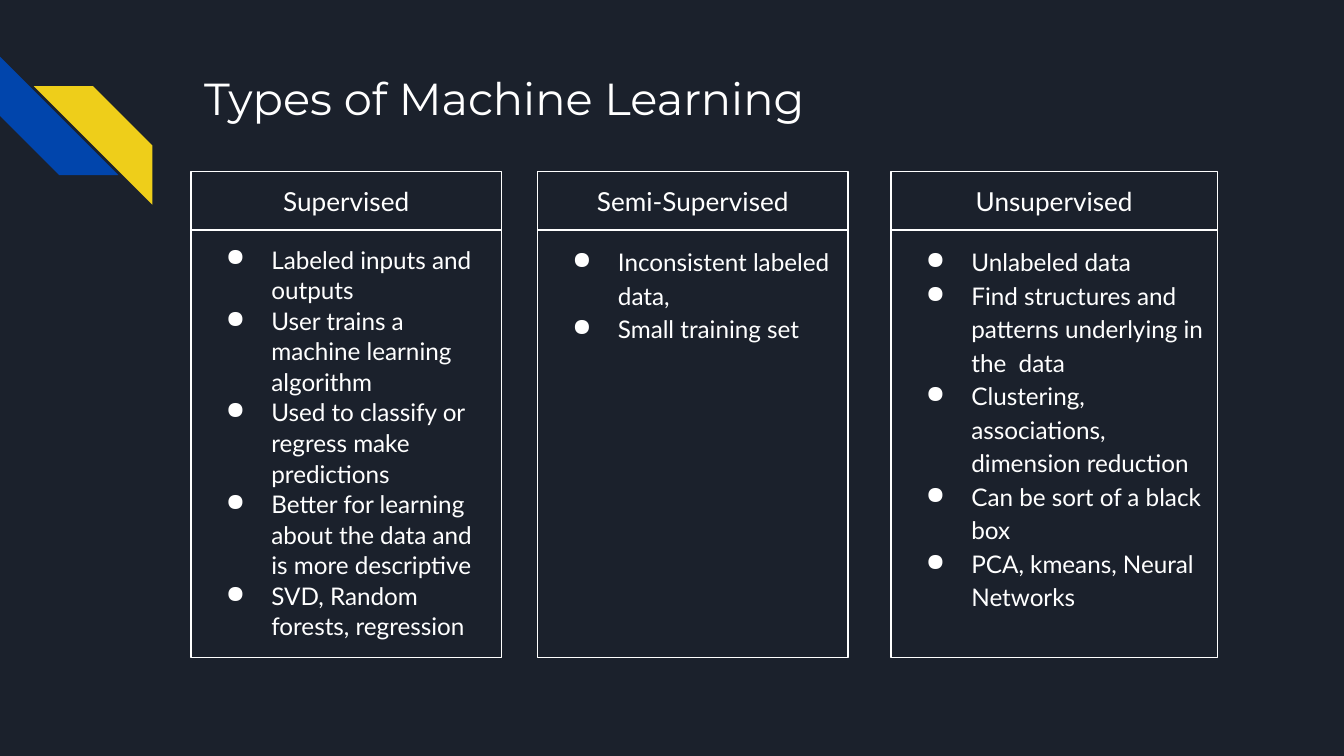
"""Build the Types of Machine Learning slide with three bordered columns."""
import pptx
import pptx.dml.color
import pptx.enum.shapes
import pptx.enum.text
import pptx.oxml.ns
import pptx.util
import lxml.etree

Cm = pptx.util.Cm
Pt = pptx.util.Pt
SHAPE = pptx.enum.shapes.MSO_SHAPE
ANCHOR = pptx.enum.text.MSO_ANCHOR
ALIGN = pptx.enum.text.PP_ALIGN
qn = pptx.oxml.ns.qn

COLORS = {"navy": "1B212C", "blue": "0145AC", "yellow": "EECE1A", "white": "FFFFFF"}
RGB = {k: pptx.dml.color.RGBColor.from_string(v) for k, v in COLORS.items()}

FRAME = {"word_wrap": True, "margin_left": Cm(0.25), "margin_right": Cm(0.25),
         "margin_top": Cm(0.25), "margin_bottom": Cm(0.25)}
TITLE = {"name": "Montserrat", "size": Pt(24)}
HEADER = {"name": "Lato", "size": Pt(14)}
BODY = {"name": "Lato", "size": Pt(13)}

STRIPES = [(0, 1.07, 270, "blue"), (0.64, 1.63, 90, "yellow")]
COLUMNS = [
    ("Supervised", 3.61, 5.87, 1.05, [
        "Labeled inputs and outputs",
        "User trains a machine learning algorithm",
        "Used to classify or regress make predictions",
        "Better for learning about the data and is more descriptive",
        "SVD, Random forests, regression"]),
    ("Semi-Supervised", 10.16, 5.87, 1.15, [
        "Inconsistent labeled data,",
        "Small training set"]),
    ("Unsupervised", 16.84, 6.17, 1.15, [
        "Unlabeled data",
        "Find structures and patterns underlying in the  data",
        "Clustering, associations, dimension reduction",
        "Can be sort of a black box",
        "PCA, kmeans, Neural Networks"]),
]


def write(sp, lines, font, anchor, align, spacing=1.0, bullet=False):
    tf = sp.text_frame
    for k, v in dict(FRAME, vertical_anchor=anchor).items():
        setattr(tf, k, v)
    for i, line in enumerate(lines):
        p = tf.add_paragraph() if i else tf.paragraphs[0]
        p.alignment = align
        p.line_spacing = spacing
        if bullet:
            pPr = p._p.get_or_add_pPr()
            pPr.set("marL", str(Cm(1.27)))
            pPr.set("indent", str(-Cm(0.86)))
            clr = lxml.etree.SubElement(pPr, qn("a:buClr"))
            lxml.etree.SubElement(clr, qn("a:srgbClr"), val=COLORS["white"])
            lxml.etree.SubElement(pPr, qn("a:buChar"), char="●")
        r = p.add_run()
        r.text = line
        for k, v in font.items():
            setattr(r.font, k, v)
        r.font.color.rgb = RGB["white"]


def add_box(s, left, top, width, height):
    sp = s.shapes.add_shape(SHAPE.RECTANGLE, Cm(left), Cm(top), Cm(width), Cm(height))
    sp.shadow.inherit = False
    sp.fill.background()
    sp.line.color.rgb = RGB["white"]
    sp.line.width = Pt(0.75)
    return sp


prs = pptx.Presentation()
prs.slide_width, prs.slide_height = Cm(25.4), Cm(14.29)
s = prs.slides.add_slide(prs.slide_layouts[6])
s.background.fill.solid()
s.background.fill.fore_color.rgb = RGB["navy"]

for left, top, rotation, color in STRIPES:
    sp = s.shapes.add_shape(SHAPE.DIAGONAL_STRIPE, Cm(left), Cm(top), Cm(2.24), Cm(2.24))
    sp.shadow.inherit = False
    sp.adjustments[0] = 0.5
    sp.rotation = rotation
    sp.fill.solid()
    sp.fill.fore_color.rgb = RGB[color]
    sp.line.fill.background()

title = s.shapes.add_textbox(Cm(3.61), Cm(1.09), Cm(19.56), Cm(2.54))
write(title, ["Types of Machine Learning"], TITLE, ANCHOR.TOP, ALIGN.LEFT)

for heading, left, width, spacing, points in COLUMNS:
    body = add_box(s, left, 4.35, width, 8.08)
    write(body, points, BODY, ANCHOR.TOP, ALIGN.LEFT, spacing, bullet=True)
    header = add_box(s, left, 3.24, width, 1.11)
    write(header, [heading], HEADER, ANCHOR.MIDDLE, ALIGN.CENTER)

prs.save("out.pptx")
